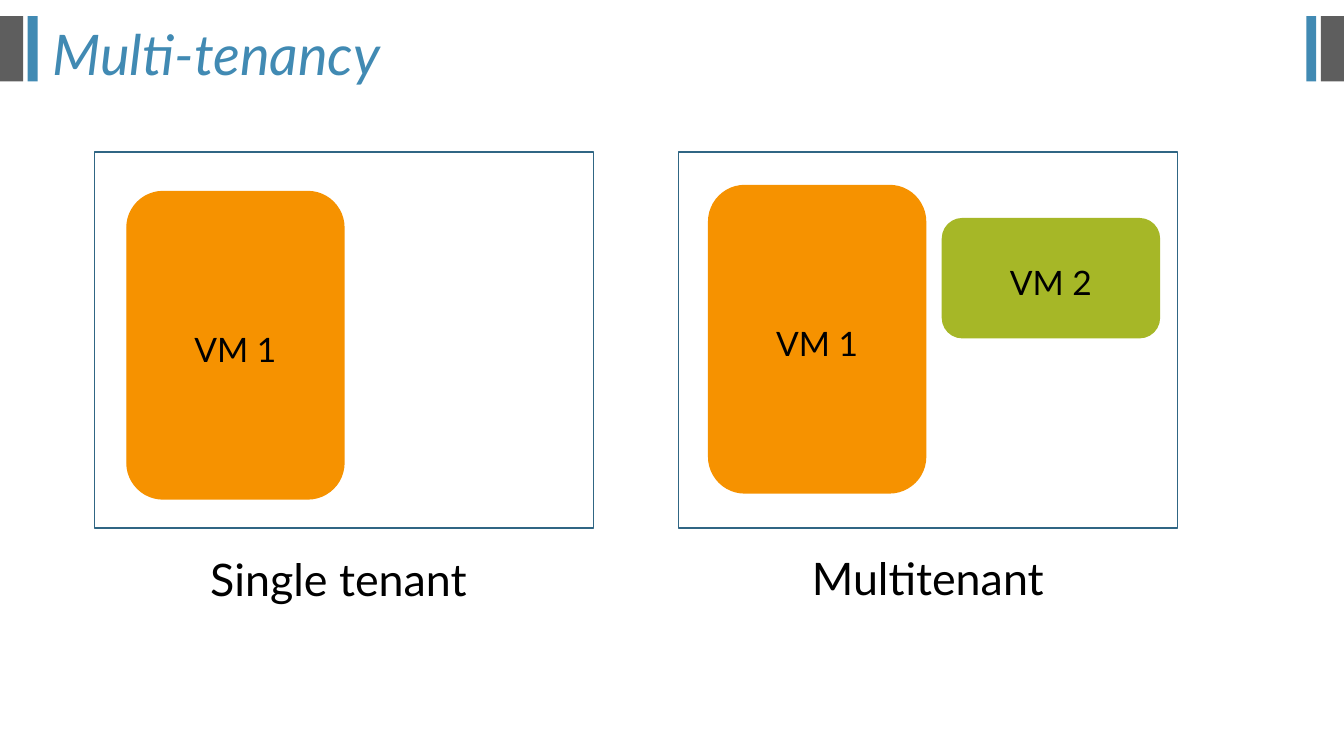
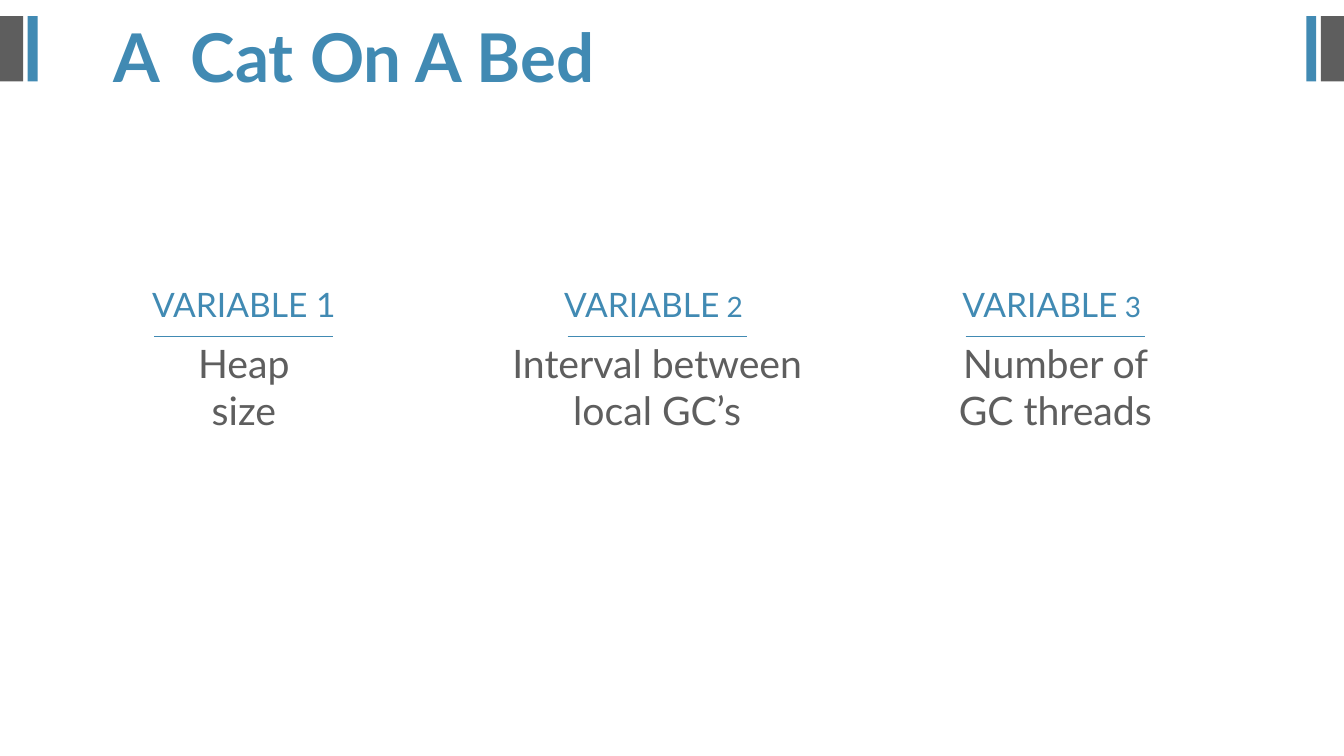
from dataclasses import dataclass

from lxml import etree
from pptx import Presentation
from pptx import util as u
from pptx.dml.color import RGBColor
from pptx.enum import shapes, text
from pptx.oxml.ns import qn


@dataclass(frozen=True)
class Theme:
    font: str = "Lato"
    blue: str = "418AB3"
    frame: str = "306684"
    grey: str = "5E5E5E"
    orange: str = "F69200"
    green: str = "A6B727"
    black: str = "000000"
    title: int = 40
    big_title: int = 48
    caption: int = 32
    detail: int = 28
    label: int = 24
    number: int = 20


THEME = Theme()
SLIDE_W, SLIDE_H = 960, 540
TITLE_ONLY = 5


def points(*lengths):
    return [u.Pt(length) for length in lengths]


def style_runs(frame, size, colour, bold=False, italic=False):
    for paragraph in frame.paragraphs:
        for run in paragraph.runs:
            run.font.name = THEME.font
            run.font.size = u.Pt(size)
            run.font.bold = bold
            run.font.italic = italic
            run.font.color.rgb = RGBColor.from_string(colour)


def add_box(slide, kind, box, fill=None, line=None):
    shape = slide.shapes.add_shape(kind, *points(*box))
    shape.shadow.inherit = False
    if fill:
        shape.fill.solid()
        shape.fill.fore_color.rgb = RGBColor.from_string(fill)
    else:
        shape.fill.background()
    if line:
        shape.line.color.rgb = RGBColor.from_string(line)
        shape.line.width = u.Pt(1)
    else:
        shape.line.fill.background()
    return shape


def add_text(slide, box, words, size, colour, spacing=1.0, wrap=True):
    frame = slide.shapes.add_textbox(*points(*box)).text_frame
    frame.word_wrap = wrap
    frame.text = words
    frame.paragraphs[0].alignment = text.PP_ALIGN.CENTER
    frame.paragraphs[0].line_spacing = spacing
    style_runs(frame, size, colour)
    return frame


def add_rule(slide, left, right, y):
    rule = slide.shapes.add_connector(
        shapes.MSO_CONNECTOR.STRAIGHT, *points(left, y, right, y))
    rule.line.color.rgb = RGBColor.from_string(THEME.blue)
    rule.line.width = u.Pt(0.5)
    etree.SubElement(rule.element.spPr, qn("a:effectLst"))


def add_bands_to_layout(slide):
    layout_tree = slide.slide_layout.shapes.element
    for left, width, colour in ((0, 16.5, THEME.grey), (19.8, 7, THEME.blue)):
        for x in (left, SLIDE_W - left - width):
            band = add_box(slide, shapes.MSO_SHAPE.RECTANGLE,
                           (x, 11.6, width, 46.6), colour)
            layout_tree.append(band.element)


def set_title(slide, words, box, size, bold=False, italic=False):
    title = slide.shapes.title
    title.left, title.top, title.width, title.height = points(*box)
    frame = title.text_frame
    frame.text = words
    frame.vertical_anchor = text.MSO_ANCHOR.TOP
    frame.auto_size = text.MSO_AUTO_SIZE.NONE
    frame.paragraphs[0].alignment = text.PP_ALIGN.LEFT
    frame.paragraphs[0].line_spacing = 0.8
    style_runs(frame, size, THEME.blue, bold, italic)


def add_host(slide, left, caption, caption_top):
    width, overhang = 356.4, 26
    add_box(slide, shapes.MSO_SHAPE.RECTANGLE,
            (left, 108.7, width, 268.6), line=THEME.frame)
    add_text(slide, (left - overhang, caption_top, width + 2 * overhang, 49),
             caption, THEME.caption, THEME.black, spacing=1.2)


def add_machine(slide, left, top, height, name, colour):
    machine = add_box(slide, shapes.MSO_SHAPE.ROUNDED_RECTANGLE,
                      (left, top, 155, height), colour, colour)
    frame = machine.text_frame
    frame.text = name
    frame.vertical_anchor = text.MSO_ANCHOR.MIDDLE
    frame.paragraphs[0].alignment = text.PP_ALIGN.CENTER
    frame.paragraphs[0].line_spacing = 1.2
    style_runs(frame, THEME.label, THEME.black)


def add_variable(slide, centre, number, number_size, detail, detail_width):
    heading = add_text(slide, (centre - 77, 199.4, 154, 36), "VARIABLE",
                       THEME.label, THEME.blue, wrap=False)
    heading.paragraphs[0].add_run().text = number
    style_runs(heading, THEME.label, THEME.blue)
    heading.paragraphs[0].runs[1].font.size = u.Pt(number_size)
    add_rule(slide, centre - 64, centre + 64, 240.5)
    add_text(slide, (centre - detail_width / 2, 238.5, detail_width, 75),
             detail, THEME.detail, THEME.grey)


def build_tenancy(slide):
    set_title(slide, "Multi-tenancy", (30.2, 19.4, 480, 46),
              THEME.title, italic=True)
    add_host(slide, 67.7, "Single tenant ", 383)
    add_host(slide, 484.6, "Multitenant", 382.3)
    add_machine(slide, 90.7, 136.8, 219.6, "VM 1", THEME.orange)
    add_machine(slide, 506.2, 132.5, 219.6, "VM 1", THEME.orange)
    add_machine(slide, 673.2, 156.2, 85, "VM 2", THEME.green)


def build_variables(slide):
    set_title(slide, "A  Cat On A Bed", (74, 18.7, 526, 54.7),
              THEME.big_title, bold=True)
    variables = (
        (174.2, " 1", THEME.label, "Heap size", 123),
        (469.4, " 2 ", THEME.number, "Interval between local GC’s", 272),
        (753.8, " 3 ", THEME.number, "Number of GC threads", 170),
    )
    for variable in variables:
        add_variable(slide, *variable)


def main():
    deck = Presentation()
    deck.slide_width, deck.slide_height = points(SLIDE_W, SLIDE_H)
    layout = deck.slide_layouts[TITLE_ONLY]
    tenancy = deck.slides.add_slide(layout)
    add_bands_to_layout(tenancy)
    build_tenancy(tenancy)
    build_variables(deck.slides.add_slide(layout))
    deck.save("out.pptx")


if __name__ == "__main__":
    main()
